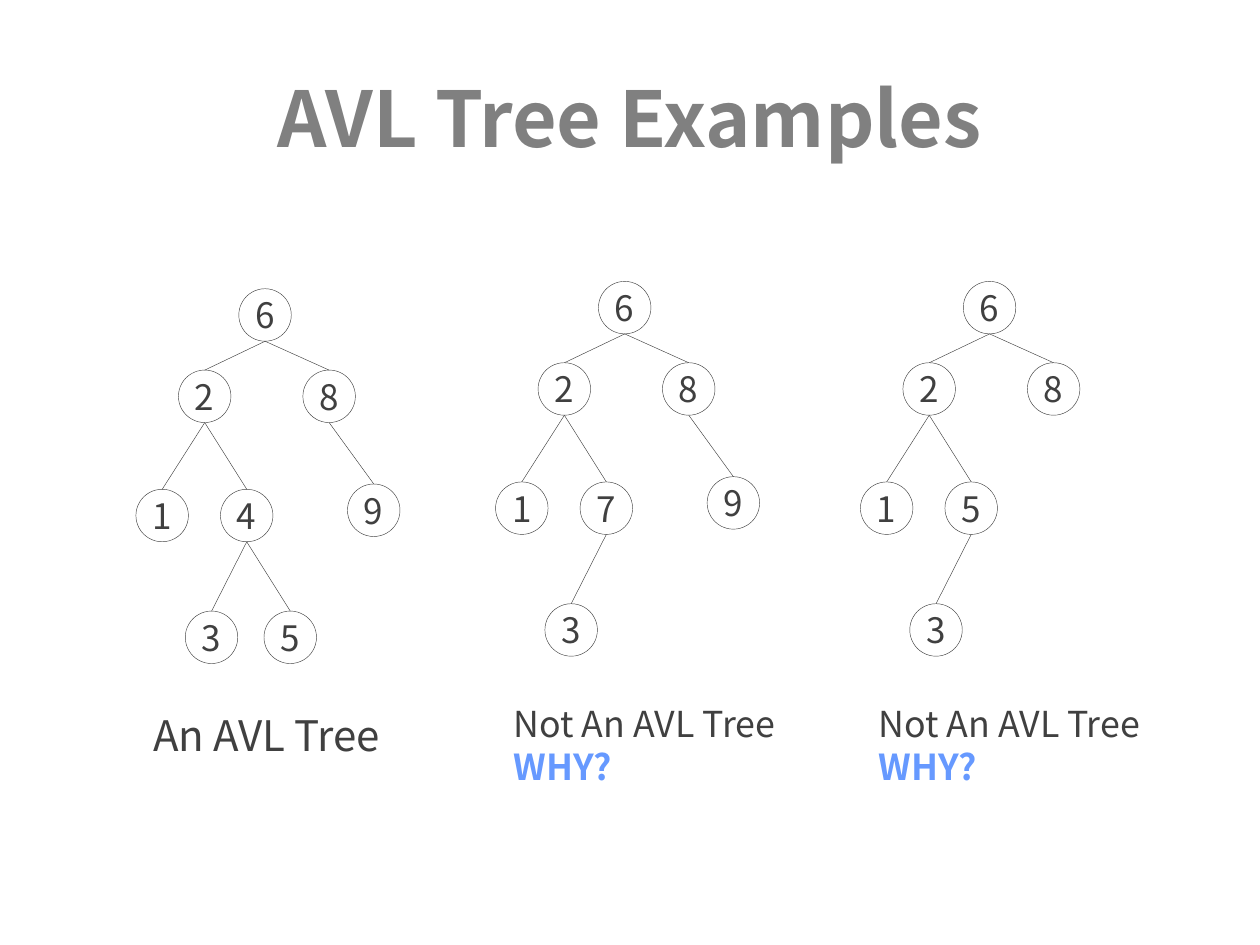
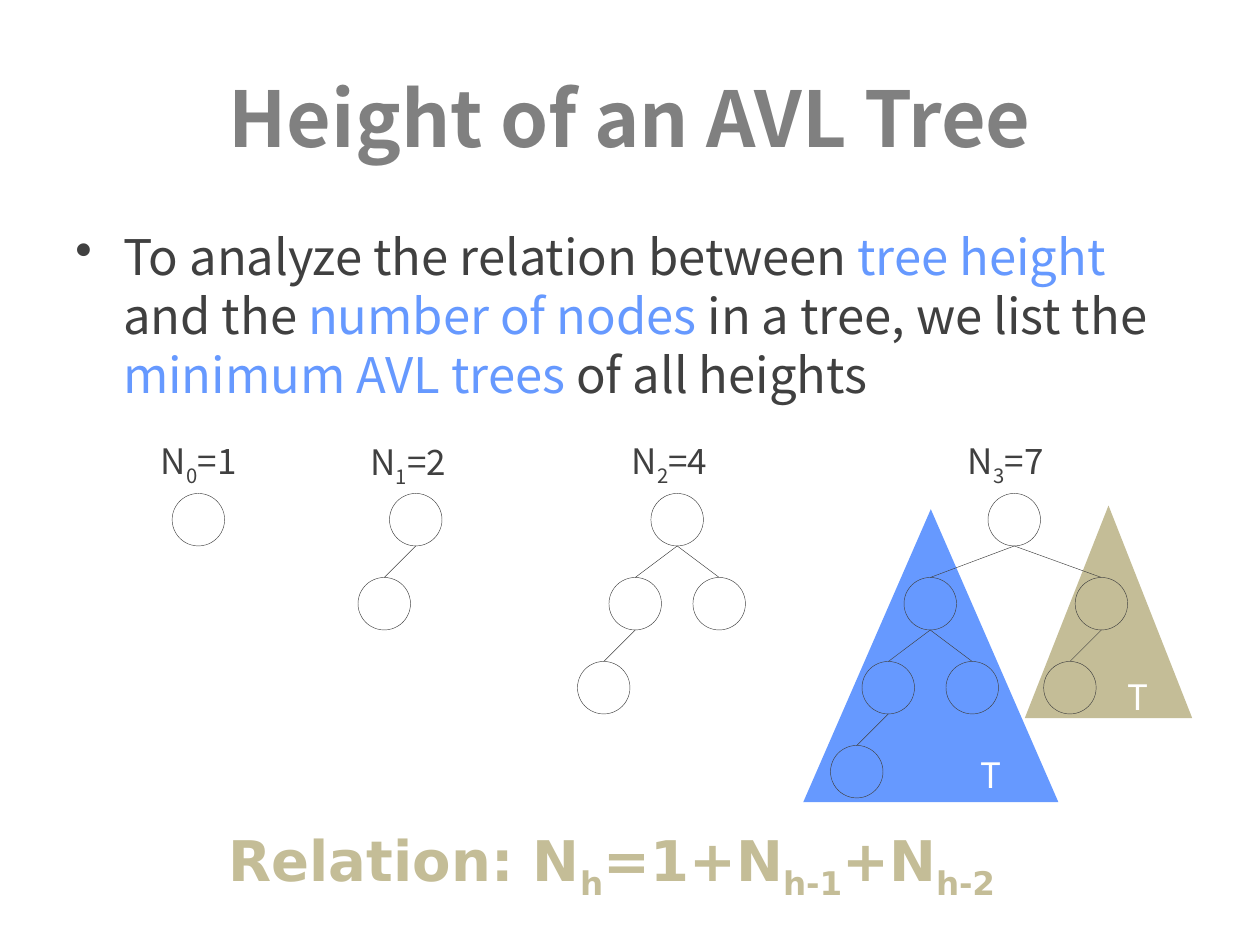
from dataclasses import dataclass

from lxml.etree import SubElement
from pptx import Presentation
from pptx.dml.color import RGBColor as RGB
from pptx.enum.shapes import MSO_CONNECTOR as CONNECTOR, MSO_SHAPE as SHAPE
from pptx.enum.text import MSO_ANCHOR as ANCHOR, PP_ALIGN as ALIGN
from pptx.oxml.ns import qn
from pptx.util import Inches, Pt


@dataclass(frozen=True)
class Theme:
    font: str = "Noto Sans CJK SC"
    formula_font: str = "DejaVu Sans"
    title: RGB = RGB(0x80, 0x80, 0x80)
    ink: RGB = RGB(0x40, 0x40, 0x40)
    blue: RGB = RGB(0x66, 0x99, 0xFF)
    sand: RGB = RGB(0xC4, 0xBD, 0x97)
    white: RGB = RGB(0xFF, 0xFF, 0xFF)
    title_size: float = 44
    formula_size: float = 32
    body_size: float = 28
    caption_size: float = 24
    question_size: float = 20.4
    label_size: float = 20
    line: float = 0.25


theme = Theme()

# Grid of 120 columns by 90 rows; a tree node is five cells wide
presentation = Presentation()
presentation.slide_width, presentation.slide_height = Inches(10), Inches(7.5)
CELL = presentation.slide_width / 120
NODE = 5
BREAK = ("", "break")


def add_text(slide, box, runs, size, color=theme.ink, bold=False, font=theme.font,
             align=ALIGN.LEFT, anchor=ANCHOR.TOP):
    """Write one paragraph of (text, style) runs in a box given in cells."""
    shape = slide.shapes.add_textbox(*(int(length * CELL) for length in box))
    frame = shape.text_frame
    frame.word_wrap, frame.vertical_anchor = True, anchor
    paragraph = frame.paragraphs[0]
    paragraph.alignment = align
    paragraph.font.name, paragraph.font.size = font, Pt(size)
    paragraph.font.color.rgb, paragraph.font.bold = color, bold
    for text, style in runs:
        if style == "break":
            paragraph.add_line_break()
            continue
        run = paragraph.add_run()
        run.text = text
        if style in ("accent", "strong"):
            run.font.color.rgb = theme.blue
        if style == "strong":
            run.font.bold = True
        if style == "sub":
            run.font._element.set("baseline", "-25000")
    return paragraph


def draw_tree(slide, root_x, root_top, nodes):
    """Draw nodes given as (parent index, x and y offset from the root, label)."""
    circles = []
    for parent, dx, dy, label in nodes:
        circle = slide.shapes.add_shape(
            SHAPE.OVAL, int((root_x + dx - NODE / 2) * CELL),
            int((root_top + dy) * CELL), int(NODE * CELL), int(NODE * CELL))
        circle.shadow.inherit = False
        circle.fill.background()
        circle.line.color.rgb, circle.line.width = theme.ink, Pt(theme.line)
        circles.append(circle)
        if label:
            frame = circle.text_frame
            frame.word_wrap, frame.vertical_anchor = False, ANCHOR.MIDDLE
            paragraph = frame.paragraphs[0]
            paragraph.text, paragraph.alignment = label, ALIGN.CENTER
            paragraph.font.name, paragraph.font.size = theme.font, Pt(theme.label_size)
            paragraph.font.color.rgb = theme.ink
        if parent is not None:
            above = circles[parent]
            edge = slide.shapes.add_connector(
                CONNECTOR.STRAIGHT, above.left + above.width // 2,
                above.top + above.height, 0, 0)
            edge.end_connect(circle, 0)
            edge.line.color.rgb, edge.line.width = theme.ink, Pt(theme.line)
            SubElement(edge._element.spPr, qn("a:effectLst"))


# Slides and their titles
slides = []
for title in ("AVL Tree Examples", "Height of an AVL Tree"):
    slide = presentation.slides.add_slide(presentation.slide_layouts[6])
    add_text(slide, (6, 3.6, 108, 15), [(title, "")], theme.title_size, theme.title,
             bold=True, align=ALIGN.CENTER, anchor=ANCHOR.MIDDLE)
    slides.append(slide)
examples, heights = slides

# Examples: places shared by the three trees, then the trees themselves
left, right = (0, -5.75, 7.75), (0, 6.1, 7.75)
left_left, left_right = (1, -9.8, 19.1), (1, -1.75, 19.1)
right_right = (2, 10.35, 18.6)
low_left, low_right = (4, -5.1, 30.7), (4, 2.4, 30.7)
top_places = [(None, 0, 0), left, right, left_left, left_right, low_left]
example_trees = [
    (25.25, 27.5, top_places + [right_right, low_right], "62814395"),
    (59.5, 26.8, top_places + [right_right], "6281739"),
    (94.25, 26.8, top_places, "628153"),
]
for root_x, root_top, places, labels in example_trees:
    draw_tree(examples, root_x, root_top,
              [(*place, label) for place, label in zip(places, labels)])

# Examples: captions
add_text(examples, (13.4, 67, 24.7, 8), [("An AVL Tree", "")], theme.caption_size)
for column in (47.75, 82.5):
    add_text(examples, (column, 66.25, 27.5, 10.7),
             [("Not An AVL Tree", ""), BREAK, ("WHY?", "strong")], theme.question_size)

# Heights: subtree triangles
subtrees = [
    ((76.5, 48.5, 24.3, 27.9), theme.blue, (90.5, 71.2, 6.1, 5.3)),
    ((97.6, 48.15, 15.95, 20.25), theme.sand, (105.1, 63.7, 5.5, 5.3)),
]
for box, color, label_box in subtrees:
    triangle = heights.shapes.add_shape(
        SHAPE.ISOSCELES_TRIANGLE, *(int(length * CELL) for length in box))
    triangle.shadow.inherit = False
    triangle.fill.solid()
    triangle.fill.fore_color.rgb = color
    triangle.line.fill.background()
    add_text(heights, label_box, [("T", "")], theme.label_size, theme.white,
             align=ALIGN.RIGHT)

# Heights: bullet
bullet = add_text(heights, (6, 21, 108, 19), [
    ("To analyze the relation between ", ""), ("tree height ", "accent"),
    ("and the ", ""), ("number of nodes ", "accent"),
    ("in a tree, we list the ", ""), ("minimum AVL trees ", "accent"),
    ("of all heights", "")], theme.body_size)
properties = bullet._p.get_or_add_pPr()
properties.set("marL", str(Inches(0.38)))
properties.set("indent", str(Inches(-0.38)))
mark = properties.makeelement(qn("a:buChar"), {"char": "•"})
properties.insert_element_before(mark, "a:tabLst", "a:defRPr", "a:extLst")

# Heights: minimum trees, one level every eight rows
root = (None, 0, 0, "")
minimum_trees = [
    (18.9, 14.15, 41.3, "1", [root]),
    (39.6, 34.1, 41.4, "2", [root, (0, -3, 8, "")]),
    (64.5, 59, 41.3, "4",
     [root, (0, -4, 8, ""), (0, 4, 8, ""), (1, -7, 16, "")]),
    (96.6, 91, 41.3, "7",
     [root, (0, -8, 8, ""), (0, 8.3, 8, ""), (1, -12, 16, ""),
      (1, -4, 16, ""), (2, 5.3, 16, ""), (3, -15, 24, "")]),
]
for height, (root_x, label_x, label_y, count, nodes) in enumerate(minimum_trees):
    draw_tree(heights, root_x, 47, nodes)
    add_text(heights, (label_x, label_y, 12.8, 7.7),
             [("N", ""), (str(height), "sub"), (f"={count}", "")], theme.label_size)

# Heights: recurrence
add_text(heights, (20.6, 78, 80.4, 7.7), [
    ("Relation: N", ""), ("h", "sub"), ("=1+N", ""), ("h-1", "sub"),
    ("+N", ""), ("h-2", "sub")], theme.formula_size, theme.sand,
    bold=True, font=theme.formula_font)

presentation.save("out.pptx")
